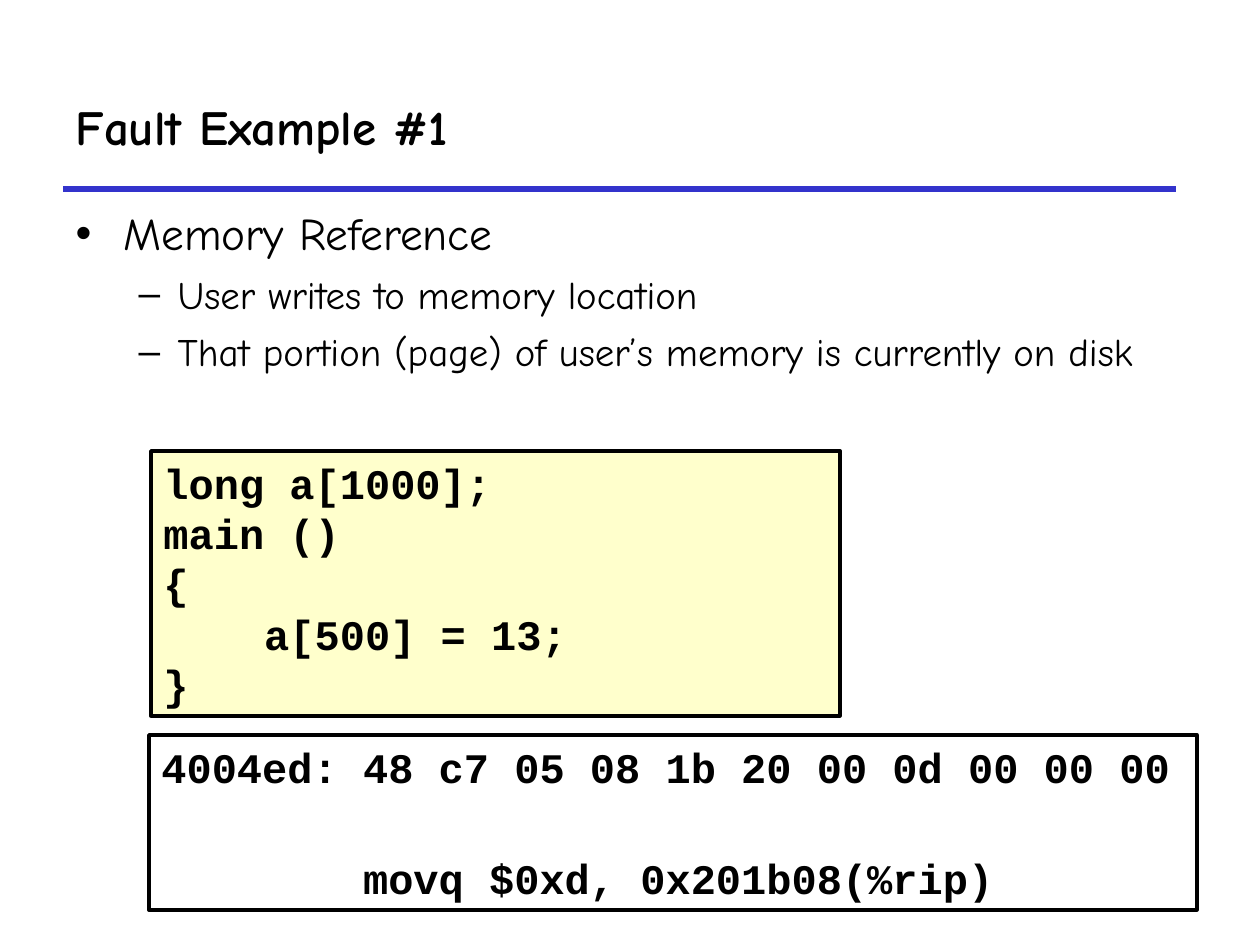
from lxml import etree
from pptx import Presentation, util as u
from pptx.dml.color import RGBColor
from pptx.enum import shapes, text
from pptx.oxml.ns import qn

TITLE = "Fault Example #1"
POINTS = [
    (0, "Memory Reference"),
    (1, "User writes to memory location"),
    (1, "That portion (page) of user’s memory is currently on disk"),
]
SOURCE = ["long a[1000];", "main ()", "{", "    a[500] = 13;", "}"]
ASM = [
    "4004ed: 48 c7 05 08 1b 20 00\u00a00d 00 00 00".replace("\u00a0", " "),
    "        movq $0xd, 0x201b08(%rip)",
]
THEME = {
    "ink": "000000", "rule": "3333CC", "cream": "FFFFCC", "white": "FFFFFF",
    "font": "Comic Neue", "mono": "Courier New",
    "title": 28, "code": 24,
}
LEVELS = [
    {"size": 25.9, "mark": "•", "left": 48, "hang": 48, "gap": 0},
    {"size": 22.2, "mark": "–", "left": 102, "hang": 39, "gap": 6},
]
BOXES = [
    (SOURCE, (151, 451, 689, 265), "cream", 0),
    (ASM, (149, 735, 1048, 175), "white", 35),
]


def px(n):
    return u.Emu(n * 914400 // 126)


def color(key):
    return RGBColor.from_string(THEME[key])


def place(shape, box):
    shape.left, shape.top, shape.width, shape.height = map(px, box)


def style(para, size, face="font", bold=False):
    para.alignment = text.PP_ALIGN.LEFT
    font = para.font
    font.name, font.size, font.bold = THEME[face], u.Pt(size), bold
    font.color.rgb = color("ink")


def fill(frame, lines):
    frame.word_wrap = True
    frame.text = "\n".join(lines)
    return frame.paragraphs


def bullet(para, level):
    props = para._p.get_or_add_pPr()
    props.set("marL", str(px(level["left"])))
    props.set("indent", str(-px(level["hang"])))
    etree.SubElement(props, qn("a:buChar")).set("char", level["mark"])


def add_code(slide, lines, box, back, gap):
    shape = slide.shapes.add_shape(shapes.MSO_SHAPE.RECTANGLE, *map(px, box))
    shape.shadow.inherit = False
    shape.fill.solid()
    shape.fill.fore_color.rgb = color(back)
    shape.line.color.rgb = color("ink")
    shape.line.width = u.Pt(2)
    frame = shape.text_frame
    frame.vertical_anchor = text.MSO_ANCHOR.TOP
    for i, para in enumerate(fill(frame, lines)):
        style(para, THEME["code"], "mono", True)
        para.line_spacing = u.Pt(28.8)
        para.space_before = u.Pt(gap if i else 0)


def main():
    deck = Presentation()
    deck.slide_width, deck.slide_height = px(1260), px(945)
    slide = deck.slides.add_slide(deck.slide_layouts[1])
    title, body = slide.placeholders

    rule = slide.shapes.add_connector(
        shapes.MSO_CONNECTOR.STRAIGHT, *map(px, (63, 189, 1176, 189)))
    rule.line.color.rgb = color("rule")
    rule.line.width = u.Pt(3)
    etree.SubElement(rule._element.spPr, qn("a:effectLst"))

    place(title, (63, 63, 1113, 126))
    title.text_frame.vertical_anchor = text.MSO_ANCHOR.MIDDLE
    style(fill(title.text_frame, [TITLE])[0], THEME["title"], bold=True)

    place(body, (63, 199, 1113, 227))
    paras = fill(body.text_frame, [line for _, line in POINTS])
    for para, (depth, _) in zip(paras, POINTS):
        level = LEVELS[depth]
        para.level = depth
        bullet(para, level)
        para.space_before = u.Pt(level["gap"])
        style(para, level["size"])

    for box in BOXES:
        add_code(slide, *box)
    deck.save("out.pptx")


if __name__ == "__main__":
    main()
